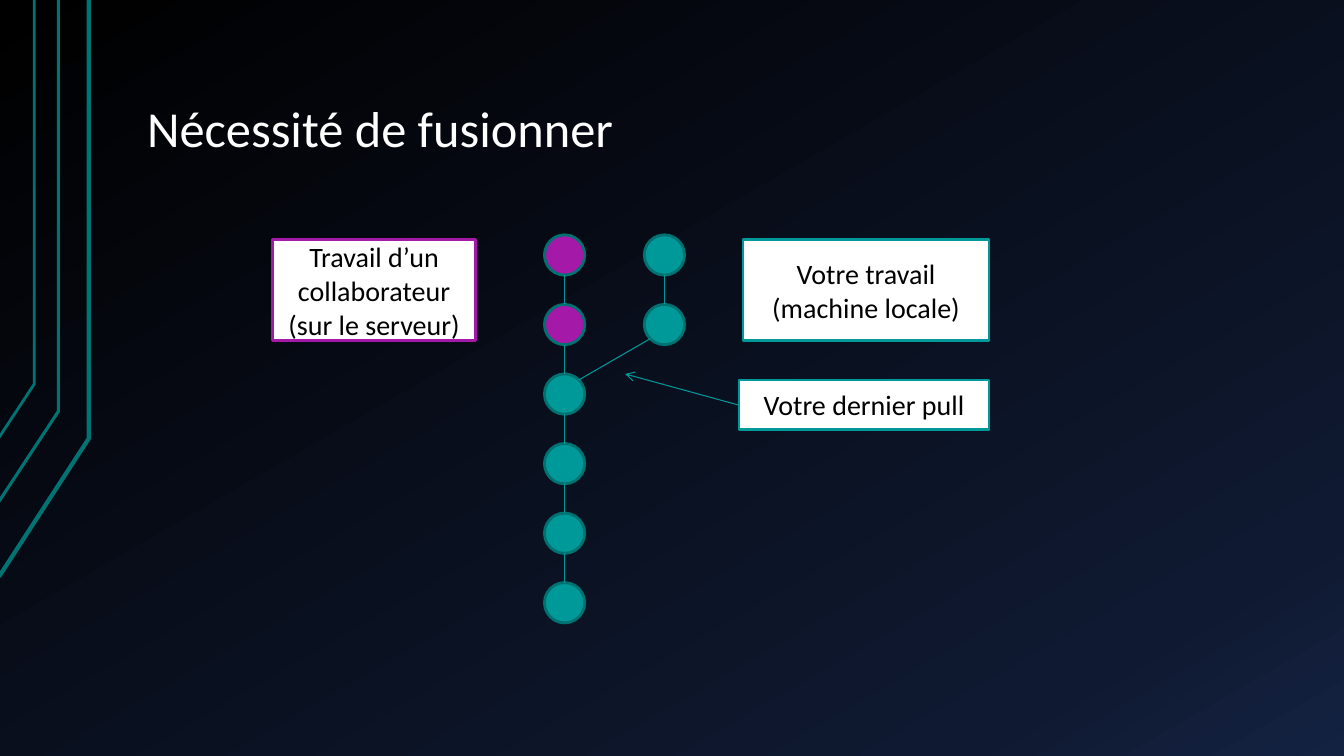
from copy import deepcopy
from lxml import etree
from pptx import Presentation, util as u
from pptx.dml.color import RGBColor
from pptx.enum import shapes as sh, text as tx
from pptx.oxml.ns import qn

BLACK = RGBColor(0x00, 0x00, 0x00)
NAVY = RGBColor(0x0F, 0x19, 0x31)
BLUE = RGBColor(0x14, 0x22, 0x42)
WHITE = RGBColor(0xFF, 0xFF, 0xFF)
TEAL = RGBColor(0x00, 0x99, 0x99)
RIM = RGBColor(0x00, 0x71, 0x71)
TRIM = RGBColor(0x00, 0x73, 0x73)
PLUM = RGBColor(0xA4, 0x19, 0xA7)
WIDE, HIGH = 13.33, 7.5
FONT = "Calibri"
DOT = 0.4
STEP = 0.69
LANE = 0.99


def inch(*vals):
    return [u.Inches(v) for v in vals]


def backdrop(slide):
    fill = slide.background.fill
    fill.gradient()
    stops = slide.element.find(".//" + qn("a:gsLst"))
    stops.append(deepcopy(stops[-1]))
    for stop, place, color in zip(fill.gradient_stops, (0, 0.85, 1), (BLACK, NAVY, BLUE)):
        stop.position = place
        stop.color.rgb = color
    fill.gradient_angle = 300


def trim(slide):
    for right, bend, left, base, width in (
        (0.88, 4.35, -0.01, 5.72, 3),
        (0.58, 4.08, -0.02, 4.99, 2.25),
        (0.34, 3.81, -0.01, 4.34, 2),
    ):
        pen = slide.shapes.build_freeform(*inch(left, base))
        pen.add_line_segments([inch(right, bend), inch(right, 0)], close=False)
        edge = pen.convert_to_shape()
        edge.shadow.inherit = False
        edge.fill.background()
        edge.line.color.rgb = TRIM
        edge.line.width = u.Pt(width)


def write(para, words, size, color):
    run = para.add_run()
    run.text = words
    run.font.name = FONT
    run.font.size = u.Pt(size)
    run.font.color.rgb = color


def title(slide, box, words):
    frame = slide.shapes.add_textbox(*inch(*box)).text_frame
    frame.word_wrap = True
    frame.vertical_anchor = tx.MSO_ANCHOR.BOTTOM
    frame.margin_left = frame.margin_right = u.Inches(0.13)
    frame.margin_top = frame.margin_bottom = u.Inches(0.07)
    para = frame.paragraphs[0]
    para.line_spacing = 0.9
    write(para, words, 36, WHITE)


def paint(slide, kind, box, fill, edge):
    shape = slide.shapes.add_shape(kind, *inch(*box))
    shape.shadow.inherit = False
    shape.fill.solid()
    shape.fill.fore_color.rgb = fill
    shape.line.color.rgb = edge
    shape.line.width = u.Pt(2)
    return shape


def label(slide, box, edge, lines):
    frame = paint(slide, sh.MSO_SHAPE.RECTANGLE, box, WHITE, edge).text_frame
    frame.word_wrap = True
    frame.vertical_anchor = tx.MSO_ANCHOR.MIDDLE
    for i, words in enumerate(lines):
        para = frame.add_paragraph() if i else frame.paragraphs[0]
        para.alignment = tx.PP_ALIGN.CENTER
        write(para, words, 20, BLACK)


def link(slide, start, end, arrow=False):
    line = slide.shapes.add_connector(sh.MSO_CONNECTOR.STRAIGHT, *inch(*start, *end))
    line.line.color.rgb = TEAL
    line.line.width = u.Pt(0.75)
    if arrow:
        etree.SubElement(line.line._get_or_add_ln(), qn("a:tailEnd"), type="arrow")
    etree.SubElement(line._element.spPr, qn("a:effectLst"))


def branch(slide, left, top, fills):
    mid = left + DOT / 2
    for row, fill in enumerate(fills):
        y = top + row * STEP
        paint(slide, sh.MSO_SHAPE.OVAL, (left, y, DOT, DOT), fill, RIM)
        if row:
            link(slide, (mid, y), (mid, y - STEP + DOT))


def graph(slide, left, top):
    branch(slide, left, top, [PLUM] * 2 + [TEAL] * 4)
    branch(slide, left + LANE, top, [TEAL] * 2)
    near, far = DOT * 0.15, DOT * 0.85
    link(slide, (left + far, top + 2 * STEP + near),
         (left + LANE + near, top + STEP + far))


def main():
    deck = Presentation()
    deck.slide_width, deck.slide_height = inch(WIDE, HIGH)
    slide = deck.slides.add_slide(deck.slide_layouts[6])
    backdrop(slide)
    trim(slide)
    title(slide, (1.33, 0.3, 11.33, 1.34), "Nécessité de fusionner")
    graph(slide, 5.4, 2.33)
    label(slide, (2.7, 2.38, 2.02, 1), PLUM,
          ["Travail d’un collaborateur", "(sur le serveur)"])
    label(slide, (7.37, 2.38, 2.44, 1), TEAL, ["Votre travail (machine locale)"])
    label(slide, (7.33, 3.77, 2.48, 0.49), TEAL, ["Votre dernier pull"])
    link(slide, (7.33, 4.02), (6.2, 3.71), arrow=True)
    deck.save("out.pptx")


if __name__ == "__main__":
    main()
